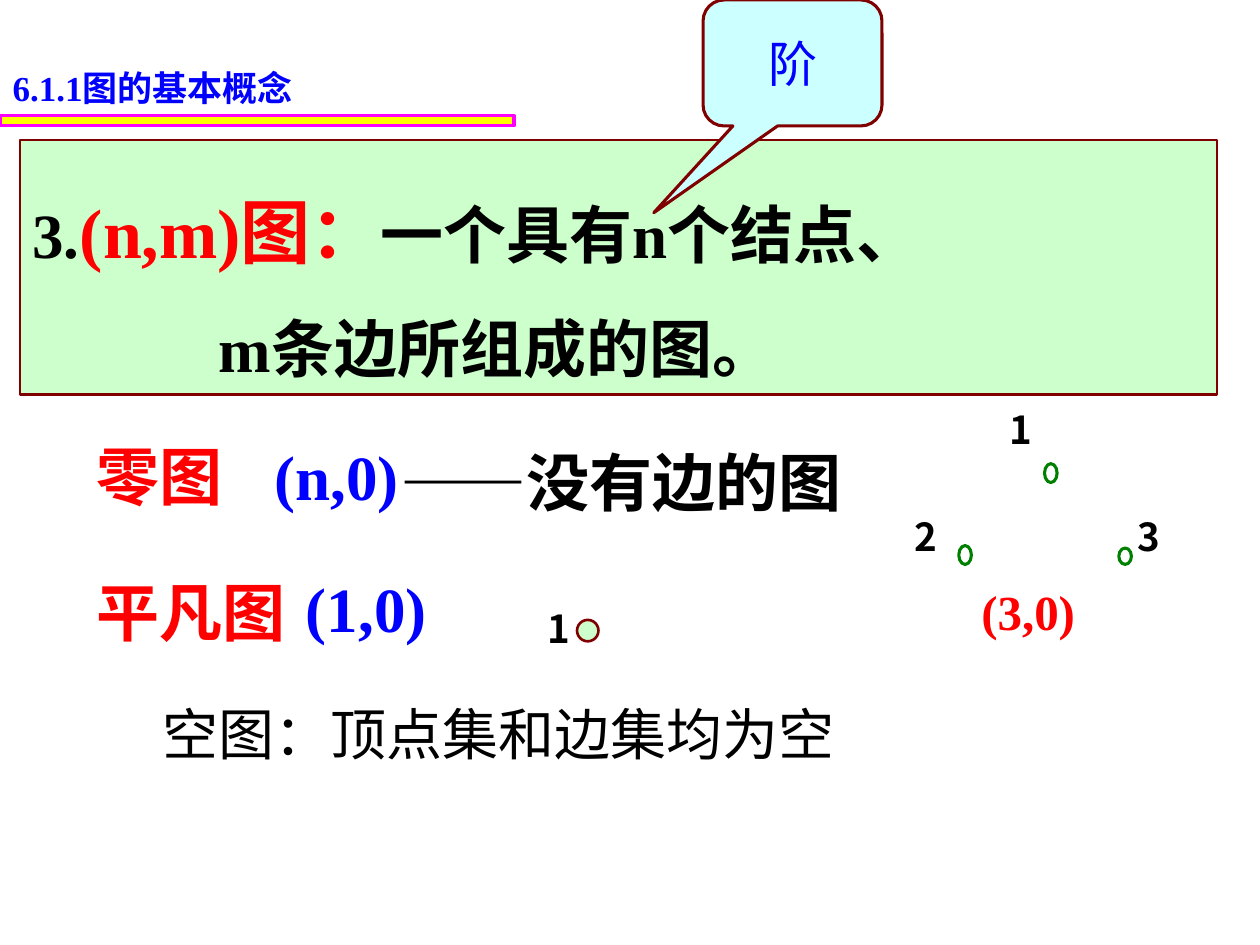
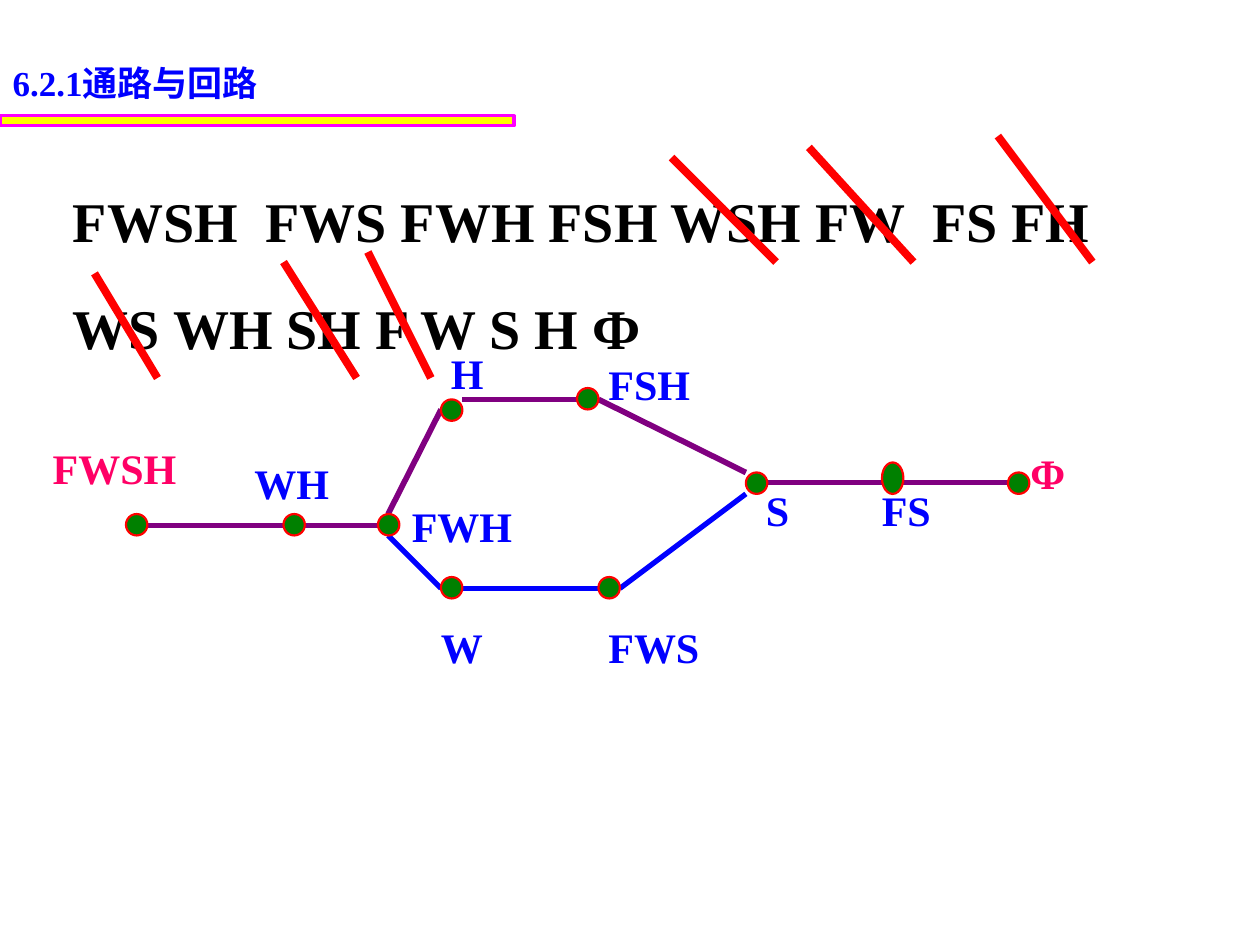
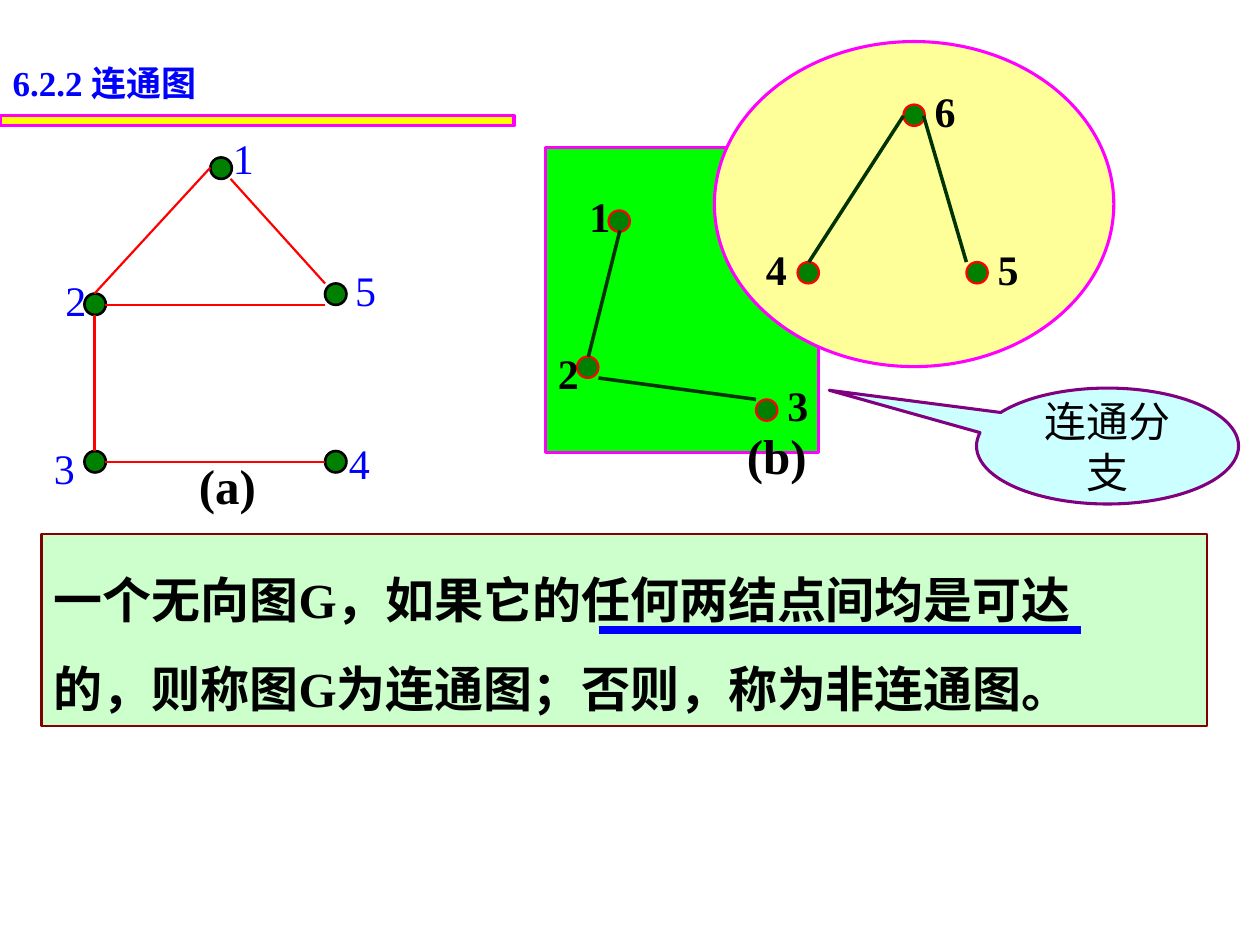
"""Build three slides on basic graph theory: (n,m) graphs, paths and connectivity."""
from dataclasses import dataclass
from typing import Optional, Sequence

from lxml.etree import SubElement
from pptx import Presentation
from pptx.dml.color import RGBColor
from pptx.enum.shapes import MSO_CONNECTOR, MSO_SHAPE
from pptx.enum.text import MSO_ANCHOR, MSO_AUTO_SIZE, PP_ALIGN
from pptx.oxml.ns import qn
from pptx.util import Inches, Pt


@dataclass(frozen=True)
class Theme:
    """Colours, fonts and type sizes shared by all slides."""
    black: str = "000000"
    blue: str = "0000FF"
    red: str = "FF0000"
    pink: str = "FF0066"
    magenta: str = "FF00FF"
    maroon: str = "800000"
    purple: str = "800080"
    green: str = "008000"
    dark_green: str = "003300"
    bright_green: str = "00FF00"
    pale_green: str = "CCFFCC"
    pale_cyan: str = "CCFFFF"
    pale_yellow: str = "FFFF99"
    yellow: str = "FFFF00"
    serif: str = "Times New Roman"
    sans: str = "Arial"
    chinese: str = "Noto Sans CJK SC"
    heading: int = 20
    digit: int = 22
    label: int = 24
    caption: int = 28
    body: int = 32
    term: int = 36
    emphasis: int = 40


THEME = Theme()
NODE_SIZE = 0.17


@dataclass(frozen=True)
class Span:
    """A piece of text in one format."""
    text: str
    size: int
    color: str = THEME.black
    font: str = THEME.serif
    bold: bool = True


@dataclass(frozen=True)
class Para:
    """A paragraph with its spacing, indent and tab stops."""
    spans: Sequence[Span]
    spacing: Optional[float] = None
    align: PP_ALIGN = PP_ALIGN.LEFT
    indent: float = 0
    tabs: Sequence[float] = ()


@dataclass(frozen=True)
class Area:
    """A rectangle in inches."""
    left: float
    top: float
    width: float
    height: float

    def lengths(self) -> list:
        """Return the four sides as lengths."""
        return [Inches(side) for side in (self.left, self.top, self.width, self.height)]


@dataclass(frozen=True)
class Label:
    """A short piece of text naming a vertex."""
    text: str
    left: float
    top: float
    width: float = 0.36
    color: str = THEME.blue


@dataclass(frozen=True)
class Edge:
    """A straight line between two points."""
    start: tuple[float, float]
    end: tuple[float, float]


def write(frame, paras: Sequence[Para]) -> None:
    """Write paragraphs run by run into a text frame."""
    for index, para in enumerate(paras):
        target = frame.paragraphs[0] if index == 0 else frame.add_paragraph()
        target.alignment = para.align
        if para.spacing:
            target.line_spacing = para.spacing
        properties = target._p.get_or_add_pPr()
        if para.indent:
            properties.set("marL", str(Inches(para.indent)))
            properties.set("indent", "0")
        if para.tabs:
            stops = SubElement(properties, qn("a:tabLst"))
            for stop in para.tabs:
                SubElement(stops, qn("a:tab"), pos=str(Inches(stop)), algn="l")
        for span in para.spans:
            run = target.add_run()
            run.text = span.text
            run.font.size = Pt(span.size)
            run.font.bold = span.bold
            run.font.color.rgb = RGBColor.from_string(span.color)
            run.font.name = span.font
            SubElement(run._r.get_or_add_rPr(), qn("a:ea"), typeface=span.font)


def add_text(page, area: Area, paras: Sequence[Para], wrap: bool = False) -> None:
    """Add a text box that grows with its text."""
    frame = page.shapes.add_textbox(*area.lengths()).text_frame
    frame.word_wrap = wrap
    frame.auto_size = MSO_AUTO_SIZE.SHAPE_TO_FIT_TEXT
    write(frame, paras)


def add_figure(page, kind: MSO_SHAPE, area: Area, fill: Optional[str], line: str, weight: float):
    """Add a preset shape with a plain fill and outline."""
    shape = page.shapes.add_shape(kind, *area.lengths())
    shape.shadow.inherit = False
    if fill:
        shape.fill.solid()
        shape.fill.fore_color.rgb = RGBColor.from_string(fill)
    else:
        shape.fill.background()
    shape.line.color.rgb = RGBColor.from_string(line)
    shape.line.width = Pt(weight)
    return shape


def add_definition(page, area: Area, weight: float, paras: Sequence[Para]) -> None:
    """Add a pale green definition box."""
    box = add_figure(page, MSO_SHAPE.RECTANGLE, area, THEME.pale_green, THEME.maroon, weight)
    box.text_frame.vertical_anchor = MSO_ANCHOR.TOP
    box.text_frame.word_wrap = True
    write(box.text_frame, paras)


def add_callout(page, kind: MSO_SHAPE, area: Area, pointer: tuple[float, float], line: str, span: Span) -> None:
    """Add a speech bubble with its pointer."""
    bubble = add_figure(page, kind, area, THEME.pale_cyan, line, 1.75)
    for index, value in enumerate(pointer):
        bubble.adjustments[index] = value
    bubble.text_frame.vertical_anchor = MSO_ANCHOR.MIDDLE
    bubble.text_frame.word_wrap = True
    write(bubble.text_frame, [Para([span], align=PP_ALIGN.CENTER)])


def add_edges(page, edges: Sequence[Edge], color: str, weight: float) -> None:
    """Draw straight lines in one style."""
    for edge in edges:
        ends = [Inches(value) for value in (*edge.start, *edge.end)]
        line = page.shapes.add_connector(MSO_CONNECTOR.STRAIGHT, *ends)
        line.line.color.rgb = RGBColor.from_string(color)
        line.line.width = Pt(weight)
        SubElement(line._element.spPr, qn("a:effectLst"))


def add_nodes(page, corners: Sequence[tuple[float, float]], line: str, weight: float) -> None:
    """Draw round green vertices from their top left corners."""
    for left, top in corners:
        area = Area(left, top, NODE_SIZE, NODE_SIZE)
        add_figure(page, MSO_SHAPE.OVAL, area, THEME.green, line, weight)


def add_labels(page, labels: Sequence[Label], bold: bool = True) -> None:
    """Write the vertex names."""
    for label in labels:
        span = Span(label.text, THEME.label, label.color, bold=bold)
        add_text(page, Area(label.left, label.top, label.width, 0.5), [Para([span])])


def start_page(deck, number: str, name: str, top: float = 0.44):
    """Add a slide with its section heading and band."""
    page = deck.slides.add_slide(deck.slide_layouts[5])
    title = page.shapes.title
    title.left, title.top, title.width, title.height = Area(0, top, 3.52, 0.43).lengths()
    frame = title.text_frame
    frame.vertical_anchor = MSO_ANCHOR.TOP
    frame.auto_size = MSO_AUTO_SIZE.NONE
    write(frame, [Para([Span(number, THEME.heading, THEME.blue),
                        Span(name, THEME.heading, THEME.blue, THEME.sans)])])
    add_figure(page, MSO_SHAPE.RECTANGLE, Area(0, 0.92, 4.08, 0.08), THEME.yellow, THEME.magenta, 1.75)
    return page


def build_order_slide(deck) -> None:
    """Define (n,m) graphs, null graphs and trivial graphs."""
    page = start_page(deck, "6.1.1", "图的基本概念", 0.48)
    term, chinese = THEME.term, THEME.chinese
    add_definition(page, Area(0.16, 1.11, 9.5, 2.02), 1.5, [
        Para([Span("3.", term),
              Span("(n,m)", THEME.emphasis, THEME.red),
              Span("图：", THEME.emphasis, THEME.red, chinese),
              Span("一个具有", term, font=chinese),
              Span("n", term),
              Span("个结点、", term, font=chinese)], 1.5),
        Para([Span("m", term), Span("条边所组成的图。", term, font=chinese)], 1.5, indent=1.48),
    ])
    terms = [
        (Area(2.08, 3.42, 1.43, 0.7), Span("(n,0)", term, THEME.blue), True),
        (Area(0.67, 3.42, 1.77, 0.7), Span("零图", term, THEME.red, THEME.sans), True),
        (Area(3.08, 3.47, 4.33, 0.7), Span("——没有边的图", term, font=chinese), True),
        (Area(2.33, 4.47, 1.28, 0.7), Span("(1,0)", term, THEME.blue), False),
        (Area(0.67, 4.5, 1.7, 0.7), Span("平凡图", term, THEME.red, THEME.sans), False),
        (Area(7.69, 4.57, 1, 0.57), Span("(3,0)", THEME.caption, THEME.red), False),
    ]
    for area, span, wrap in terms:
        add_text(page, area, [Para([span])], wrap)
    empty_graph = Span("空图：顶点集和边集均为空", THEME.body, font=THEME.sans, bold=False)
    add_text(page, Area(0.67, 5.5, 6.58, 0.63), [Para([empty_graph], align=PP_ALIGN.CENTER)], True)

    for left, top, height in [(7.61, 4.33, 0.15), (8.88, 4.35, 0.13), (8.29, 3.68, 0.15)]:
        add_figure(page, MSO_SHAPE.OVAL, Area(left, top, 0.1, height), None, THEME.green, 1.75)
    add_figure(page, MSO_SHAPE.OVAL, Area(4.58, 4.92, NODE_SIZE, NODE_SIZE),
               THEME.pale_green, THEME.maroon, 1.5)
    for digit, left, top in [("1", 7.91, 3.17), ("2", 7.16, 4.02), ("3", 8.93, 4.02), ("1", 4.25, 4.75)]:
        add_text(page, Area(left, top, 0.49, 0.47), [Para([Span(digit, THEME.digit, font=chinese)])], True)
    add_callout(page, MSO_SHAPE.ROUNDED_RECTANGULAR_CALLOUT, Area(5.58, 0, 1.42, 1), (-0.776, 1.189),
                THEME.maroon, Span("阶", THEME.caption, THEME.blue, THEME.sans, False))


def build_path_slide(deck) -> None:
    """Show the states of the river crossing and the paths between them."""
    page = start_page(deck, "6.2.1", "通路与回路")
    add_text(page, Area(0.48, 1.11, 8.39, 1.81), [
        Para([Span("FWSH\tFWS FWH FSH WSH FW\tFS FH", THEME.body)], 1.6, tabs=(1.53, 6.82)),
        Para([Span("WS WH SH F W S H Ф", THEME.body)], 1.6),
    ])
    add_edges(page, [
        Edge((5.33, 1.25), (6.16, 2.08)),
        Edge((6.42, 1.17), (7.25, 2.08)),
        Edge((7.92, 1.08), (8.67, 2.08)),
        Edge((0.75, 2.17), (1.25, 3)),
        Edge((2.25, 2.08), (2.83, 3)),
        Edge((2.92, 2), (3.42, 3)),
    ], THEME.red, 4.5)
    add_labels(page, [
        Label("FWSH", 0.32, 3.46, 1.18, THEME.pink),
        Label("WH", 1.92, 3.58, 0.79),
        Label("H", 3.48, 2.71, 0.46),
        Label("FSH", 4.73, 2.8, 0.85),
        Label("W", 3.4, 4.88, 0.53),
        Label("FWS", 4.73, 4.88, 0.92),
        Label("S", 5.98, 3.8, 0.38),
        Label("FS", 6.9, 3.8, 0.59),
        Label("Φ", 8.08, 3.5, 0.53, THEME.pink),
        Label("FWH", 3.17, 3.92, 1.05),
    ])
    add_edges(page, [
        Edge((1.17, 4.17), (2.25, 4.17)),
        Edge((2.42, 4.17), (3, 4.17)),
        Edge((3.08, 4.08), (3.5, 3.25)),
        Edge((3.67, 3.17), (4.58, 3.17)),
        Edge((4.75, 3.17), (5.92, 3.75)),
        Edge((6.08, 3.83), (7, 3.83)),
        Edge((7.17, 3.83), (8, 3.83)),
    ], THEME.purple, 3.25)
    add_edges(page, [
        Edge((3.08, 4.25), (3.5, 4.67)),
        Edge((3.67, 4.67), (4.75, 4.67)),
        Edge((4.92, 4.67), (5.92, 3.92)),
    ], THEME.blue, 3)
    add_nodes(page, [(1, 4.08), (2.25, 4.08), (3, 4.08), (3.5, 3.17), (4.58, 3.08),
                     (3.5, 4.58), (4.75, 4.58), (5.92, 3.75), (8, 3.75)], THEME.red, 1.25)
    add_figure(page, MSO_SHAPE.OVAL, Area(7, 3.67, NODE_SIZE, 0.25), THEME.green, THEME.red, 1.25)


def build_connected_slide(deck) -> None:
    """Compare a connected graph with one in two components."""
    page = start_page(deck, "6.2.2 ", "连通图")
    add_figure(page, MSO_SHAPE.RECTANGLE, Area(4.33, 1.17, 2.17, 2.42), THEME.bright_green, THEME.magenta, 1.75)
    add_figure(page, MSO_SHAPE.OVAL, Area(5.67, 0.33, 3.17, 2.58), THEME.pale_yellow, THEME.magenta, 1.75)
    size, chinese = THEME.caption, THEME.chinese
    sentences = [("一个无向图", "，如果它的任何两结点间均是可达"),
                 ("的，则称图", "为连通图；否则，称为非连通图。")]
    add_definition(page, Area(0.33, 4.24, 9.25, 1.52), 1.25, [
        Para([Span(before, size, font=chinese), Span("G", size), Span(after, size, font=chinese)], 1.5)
        for before, after in sentences
    ])
    add_nodes(page, [(1.67, 1.25), (0.67, 2.33), (2.58, 2.25), (0.67, 3.58), (2.58, 3.58)], THEME.black, 1.5)
    add_labels(page, [
        Label("1", 1.75, 1),
        Label("2", 0.42, 2.13),
        Label("3", 0.33, 3.46),
        Label("4", 2.67, 3.42),
        Label("5", 2.72, 2.05),
    ], bold=False)
    add_edges(page, [
        Edge((1.67, 1.33), (0.75, 2.33)),
        Edge((0.83, 2.42), (2.58, 2.42)),
        Edge((0.75, 2.5), (0.75, 3.58)),
        Edge((0.83, 3.67), (2.58, 3.67)),
        Edge((1.83, 1.42), (2.58, 2.25)),
    ], THEME.red, 1.25)
    add_nodes(page, [(4.83, 1.67), (4.58, 2.83), (6, 3.17), (7.17, 0.83), (6.33, 2.08), (7.67, 2.08)],
              THEME.red, 1.25)
    for caption, left, top, width in [("(a)", 1.48, 3.57, 0.65), ("(b)", 5.83, 3.33, 0.68)]:
        add_text(page, Area(left, top, width, 0.57), [Para([Span(caption, size)])])
    add_edges(page, [
        Edge((4.67, 2.83), (4.92, 1.83)),
        Edge((4.75, 3), (6, 3.17)),
        Edge((6.42, 2.08), (7.17, 0.92)),
        Edge((7.33, 0.92), (7.67, 2.08)),
    ], THEME.dark_green, 2)
    places = [(4.58, 1.46), (4.33, 2.71), (6.15, 2.96), (5.98, 1.88), (7.82, 1.88), (7.32, 0.63)]
    add_labels(page, [Label(str(number), left, top, color=THEME.black)
                      for number, (left, top) in enumerate(places, start=1)])
    add_edges(page, [Edge((4.75, 5), (8.58, 5))], THEME.blue, 4.75)
    add_callout(page, MSO_SHAPE.OVAL_CALLOUT, Area(7.75, 3.08, 2.08, 0.92), (-1.062, -0.481),
                THEME.purple, Span("连通分支", THEME.label, font=THEME.sans, bold=False))


def main() -> None:
    """Build the deck and save it."""
    deck = Presentation()
    deck.slide_width, deck.slide_height = Inches(10), Inches(7.5)
    build_order_slide(deck)
    build_path_slide(deck)
    build_connected_slide(deck)
    deck.save("out.pptx")


if __name__ == "__main__":
    main()
